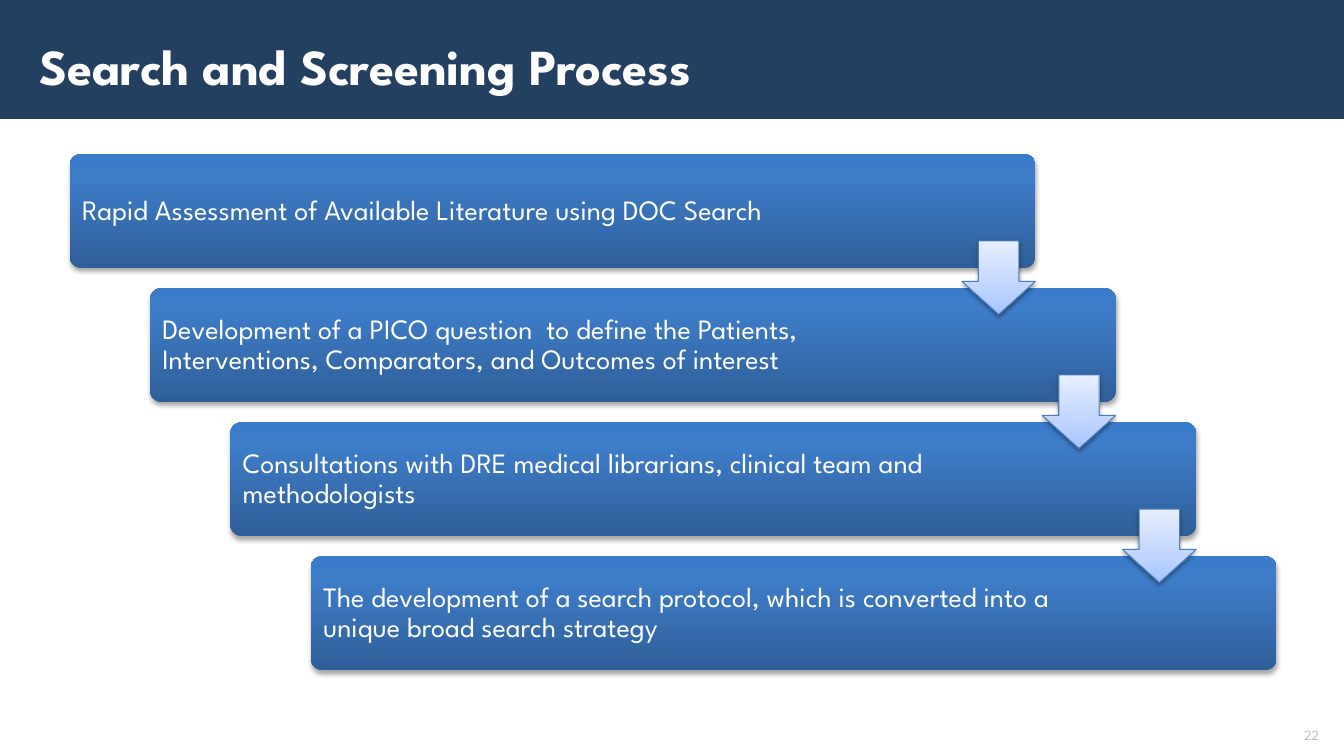
from pptx import Presentation
from pptx.dml.color import RGBColor
from pptx.enum.shapes import MSO_SHAPE
from pptx.enum.text import MSO_ANCHOR, MSO_AUTO_SIZE, PP_ALIGN
from pptx.oxml import parse_xml
from pptx.oxml.ns import nsdecls
from pptx.util import Inches, Pt

FONT = "League Spartan"
NAVY = RGBColor(0x24, 0x40, 0x61)
WHITE = RGBColor(0xFF, 0xFF, 0xFF)
GRAY = RGBColor(0xBF, 0xBF, 0xBF)
ARROW_EDGE = RGBColor(0x4B, 0x7E, 0xBC)
BLACK = RGBColor(0x00, 0x00, 0x00)
STEP_STOPS = [
    (0, RGBColor(0x2F, 0x5F, 0x99)),
    (80, RGBColor(0x3D, 0x7C, 0xC7)),
    (100, RGBColor(0x3A, 0x7C, 0xCB)),
]
ARROW_STOPS = [
    (0, RGBColor(0xA4, 0xC4, 0xFF)),
    (35, RGBColor(0xBF, 0xD4, 0xFF)),
    (100, RGBColor(0xE6, 0xEE, 0xFF)),
]

STEPS = [
    "Rapid Assessment of Available Literature using DOC Search",
    "Development of a PICO question  to define the Patients, "
    "Interventions, Comparators, and Outcomes of interest",
    "Consultations with DRE medical librarians, clinical team and methodologists",
    "The development of a search protocol, which is converted into a "
    "unique broad search strategy",
]
STEP_LEFT, STEP_TOP = 0.69, 1.53
STEP_WIDTH, STEP_HEIGHT = 9.58, 1.13
SHIFT_RIGHT, SHIFT_DOWN = 0.797, 1.33
ARROW_SIZE = 0.73
ARROW_DROP = 0.86


def set_gradient(shape, stops):
    stop_xml = "".join(
        f'<a:gs pos="{position * 1000}"><a:srgbClr val="{color}"/></a:gs>'
        for position, color in stops
    )
    gradient = parse_xml(
        f'<a:gradFill {nsdecls("a")} rotWithShape="1"><a:gsLst>{stop_xml}</a:gsLst>'
        '<a:lin ang="16200000" scaled="0"/></a:gradFill>'
    )
    shape.fill.background()
    properties = shape._element.spPr
    no_fill = properties.find("{*}noFill")
    properties.replace(no_fill, gradient)


def set_shadow(shape, opacity, distance):
    shape.shadow.inherit = False
    effects = shape._element.spPr.find("{*}effectLst")
    effects.append(parse_xml(
        f'<a:outerShdw {nsdecls("a")} blurRad="{Pt(3.1)}" dist="{Pt(distance)}" '
        f'dir="5400000" rotWithShape="0"><a:srgbClr val="{BLACK}">'
        f'<a:alpha val="{opacity * 1000}"/></a:srgbClr></a:outerShdw>'
    ))


def set_text(shape, text, size, color, align, margins, bold=False):
    frame = shape.text_frame
    frame.text = text
    frame.auto_size = MSO_AUTO_SIZE.NONE
    frame.word_wrap = True
    frame.vertical_anchor = MSO_ANCHOR.MIDDLE
    frame.margin_left, frame.margin_right = (Inches(margin) for margin in margins)
    frame.margin_top = frame.margin_bottom = 0
    paragraph = frame.paragraphs[0]
    paragraph.alignment = align
    paragraph.line_spacing = 0.9
    paragraph.font.name = FONT
    paragraph.font.size = Pt(size)
    paragraph.font.bold = bold
    paragraph.font.color.rgb = color


def add_header(slide, text):
    band = slide.shapes.add_shape(
        MSO_SHAPE.RECTANGLE, 0, Inches(-0.02), Inches(13.33), Inches(1.2)
    )
    band.shadow.inherit = False
    band.fill.solid()
    band.fill.fore_color.rgb = NAVY
    band.line.fill.background()
    title = slide.shapes.title
    title._element.addprevious(band._element)
    title.left, title.top = Inches(0.33), Inches(0.33)
    title.width, title.height = Inches(12.66), Inches(0.72)
    set_text(title, text, 36, WHITE, PP_ALIGN.LEFT, (0.06, 0.04), bold=True)


def add_step(slide, left, top, text):
    step = slide.shapes.add_shape(
        MSO_SHAPE.ROUNDED_RECTANGLE,
        Inches(left), Inches(top), Inches(STEP_WIDTH), Inches(STEP_HEIGHT),
    )
    step.adjustments[0] = 0.1
    set_gradient(step, STEP_STOPS)
    step.line.fill.background()
    set_shadow(step, 35, 1.8)
    set_text(step, text, 20, WHITE, PP_ALIGN.LEFT, (0.09, 1.62))


def add_arrow(slide, left, top):
    arrow = slide.shapes.add_shape(
        MSO_SHAPE.DOWN_ARROW,
        Inches(left), Inches(top), Inches(ARROW_SIZE), Inches(ARROW_SIZE),
    )
    arrow.adjustments[0] = 0.55
    arrow.adjustments[1] = 0.45
    set_gradient(arrow, ARROW_STOPS)
    arrow.line.color.rgb = ARROW_EDGE
    arrow.line.width = Pt(0.75)
    set_shadow(arrow, 38, 1.6)


def add_page_number(slide, text):
    number = slide.shapes.add_textbox(
        Inches(12.76), Inches(7.14), Inches(0.5), Inches(0.32)
    )
    set_text(number, text, 10, GRAY, PP_ALIGN.CENTER, (0, 0))


def main():
    presentation = Presentation()
    presentation.slide_width = Inches(13.33)
    presentation.slide_height = Inches(7.5)
    slide = presentation.slides.add_slide(presentation.slide_layouts[5])
    add_header(slide, "Search and Screening Process")
    corners = [
        (STEP_LEFT + index * SHIFT_RIGHT, STEP_TOP + index * SHIFT_DOWN)
        for index in range(len(STEPS))
    ]
    for (left, top), text in zip(corners, STEPS):
        add_step(slide, left, top, text)
    for left, top in corners[:-1]:
        add_arrow(slide, left + STEP_WIDTH - ARROW_SIZE, top + ARROW_DROP)
    add_page_number(slide, "22")
    presentation.save("out.pptx")


if __name__ == "__main__":
    main()
